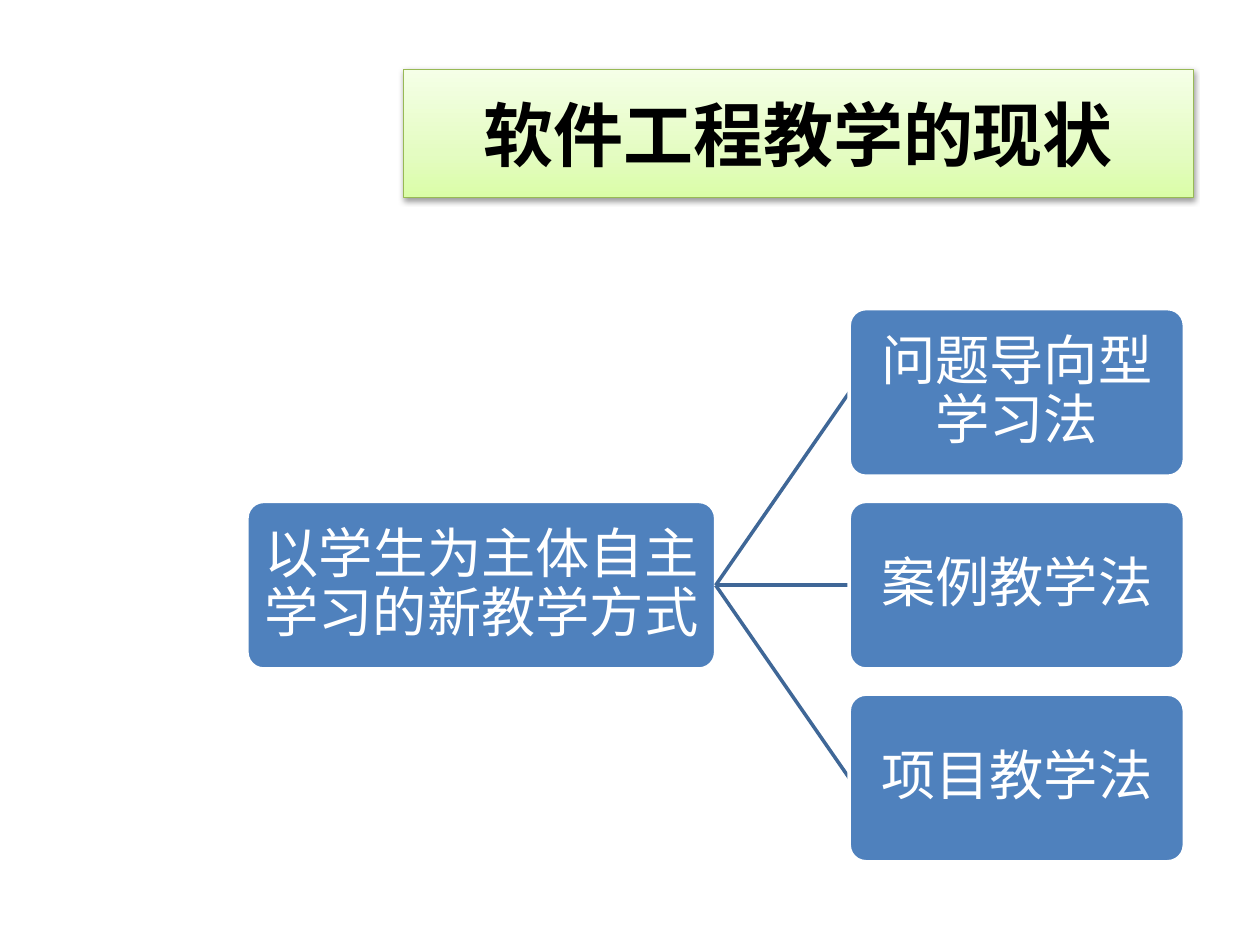
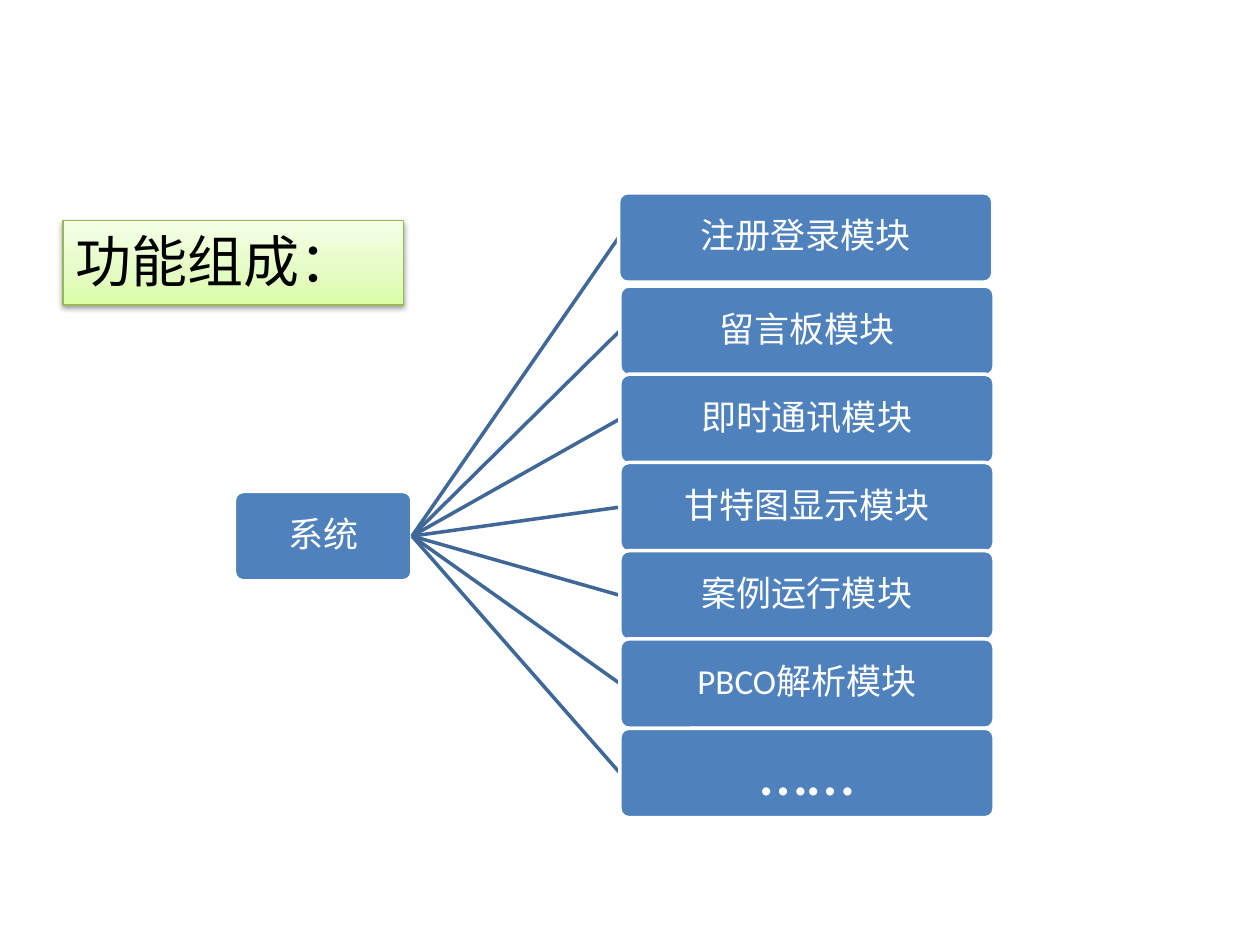
import copy
import pptx
import pptx.dml.color
import pptx.enum.shapes
import pptx.enum.text
import pptx.oxml
import pptx.util
from pptx.util import Inches

FONT = "Calibri"
WHITE, BLACK = "FFFFFF", "000000"
BLUE, EDGE, LIME = "4F81BD", "3F6797", "98B955"
FADE = [(0, "DAFDA7"), (0.35, "E4FCC2"), (1, "F5FFE7")]
NS = 'xmlns:a="http://schemas.openxmlformats.org/drawingml/2006/main"'
SHADE = (f'<a:outerShdw {NS} blurRad="40000" dist="20000" dir="5400000" '
         'rotWithShape="0"><a:srgbClr val="000000"><a:alpha val="38000"/>'
         '</a:srgbClr></a:outerShdw>')


def tint(code):
    """Turn a hex string into a colour."""
    return pptx.dml.color.RGBColor.from_string(code)


def stroke(line, code, width):
    """Give a line its colour and width in points."""
    line.color.rgb = tint(code)
    line.width = pptx.util.Pt(width)


def write(shape, text, size, code, bold=False):
    """Put one formatted paragraph into a shape and return it."""
    shape.text_frame.text = text
    para = shape.text_frame.paragraphs[0]
    font = para.runs[0].font
    font.name, font.size, font.bold = FONT, pptx.util.Pt(size), bold
    font.color.rgb = tint(code)
    return para


def place(shape, left, top, width, height):
    """Move and size a shape, in inches."""
    shape.left, shape.top = Inches(left), Inches(top)
    shape.width, shape.height = Inches(width), Inches(height)


def panel(shape, spot, text, size, bold=False):
    """Style a placeholder as a shaded lime panel and return its paragraph."""
    place(shape, *spot)
    shape.fill.gradient()
    shape.fill.gradient_angle = 90
    stops = shape.fill.gradient_stops
    last = shape._element.spPr.find(".//" + pptx.oxml.ns.qn("a:gsLst"))[-1]
    last.addnext(copy.deepcopy(last))
    stops = shape.fill.gradient_stops
    for stop, (pos, code) in zip(stops, FADE):
        stop.position = pos
        stop.color.rgb = tint(code)
    stroke(shape.line, LIME, 0.75)
    shape.shadow.inherit = False
    glow = shape._element.spPr.find(pptx.oxml.ns.qn("a:effectLst"))
    glow.append(pptx.oxml.parse_xml(SHADE))
    return write(shape, text, size, BLACK, bold)


def box(slide, spot, text, size, inset):
    """Draw one rounded blue box with centred text."""
    kind = pptx.enum.shapes.MSO_SHAPE.ROUNDED_RECTANGLE
    shape = slide.shapes.add_shape(kind, *map(Inches, spot))
    shape.adjustments[0] = 0.1
    shape.shadow.inherit = False
    shape.fill.solid()
    shape.fill.fore_color.rgb = tint(BLUE)
    stroke(shape.line, WHITE, 2)
    para = write(shape, text, size, WHITE)
    para.alignment = pptx.enum.text.PP_ALIGN.CENTER
    para.line_spacing = 0.9
    frame = shape.text_frame
    frame.word_wrap = True
    frame.vertical_anchor = pptx.enum.text.MSO_ANCHOR.MIDDLE
    frame.margin_left = frame.margin_right = Inches(inset)
    frame.margin_top = frame.margin_bottom = Inches(inset)


def link(slide, start, end):
    """Draw a straight line between two points in inches."""
    kind = pptx.enum.shapes.MSO_CONNECTOR.STRAIGHT
    line = slide.shapes.add_connector(kind, *map(Inches, start + end))
    stroke(line.line, EDGE, 2)
    line._element.spPr.append(pptx.oxml.parse_xml(f"<a:effectLst {NS}/>"))


def tree(slide, root, label, leaves, size, inset):
    """Draw a root box joined to leaves of (spot, text, size, inset)."""
    left, top, width, height = root
    box(slide, root, label, size, inset)
    start = (left + width, top + height / 2)
    for spot, text, points, pad in leaves:
        link(slide, start, (spot[0], spot[1] + spot[3] / 2))
        box(slide, spot, text, points, pad)


def status(deck):
    """Build the slide on the state of teaching."""
    slide = deck.slides.add_slide(deck.slide_layouts[5])
    para = panel(slide.shapes.title, (3.2, 0.55, 6.27, 1.02),
                 "软件工程教学的现状", 40, True)
    para.alignment = pptx.enum.text.PP_ALIGN.CENTER
    names = ["问题导向型学习法", "案例教学法", "项目教学法"]
    leaves = [((6.74, 2.45 + 1.53 * row, 2.66, 1.33), name, 31, 0.02)
              for row, name in enumerate(names)]
    tree(slide, (1.96, 3.98, 3.72, 1.33), "以学生为主体自主学习的新教学方式",
         leaves, 31, 0.02)


def modules(deck):
    """Build the slide on the parts of the system."""
    slide = deck.slides.add_slide(deck.slide_layouts[1])
    title = slide.shapes.title._element
    title.getparent().remove(title)
    para = panel(slide.placeholders[1], (0.5, 1.75, 2.7, 0.67), "功能组成：", 32)
    props = para._p.get_or_add_pPr()
    props.set("marL", str(Inches(0.38)))
    props.set("indent", str(Inches(-0.38)))
    props.append(pptx.oxml.parse_xml(f"<a:buNone {NS}/>"))
    names = ["留言板模块", "即时通讯模块", "甘特图显示模块", "案例运行模块",
             "PBCO解析模块"]
    leaves = [((4.91, 1.53, 2.97, 0.71), "注册登录模块", 20, 0.01)]
    leaves += [((4.92, 2.27 + 0.7 * row, 2.97, 0.71), name, 20, 0.01)
               for row, name in enumerate(names)]
    leaves.append(((4.92, 5.78, 2.97, 0.71), "……", 39, 0.03))
    tree(slide, (1.86, 3.9, 1.41, 0.71), "系统", leaves, 20, 0.01)


def main():
    """Build and save the deck."""
    deck = pptx.Presentation()
    deck.slide_width, deck.slide_height = Inches(10), Inches(7.5)
    status(deck)
    modules(deck)
    deck.save("out.pptx")


main()
